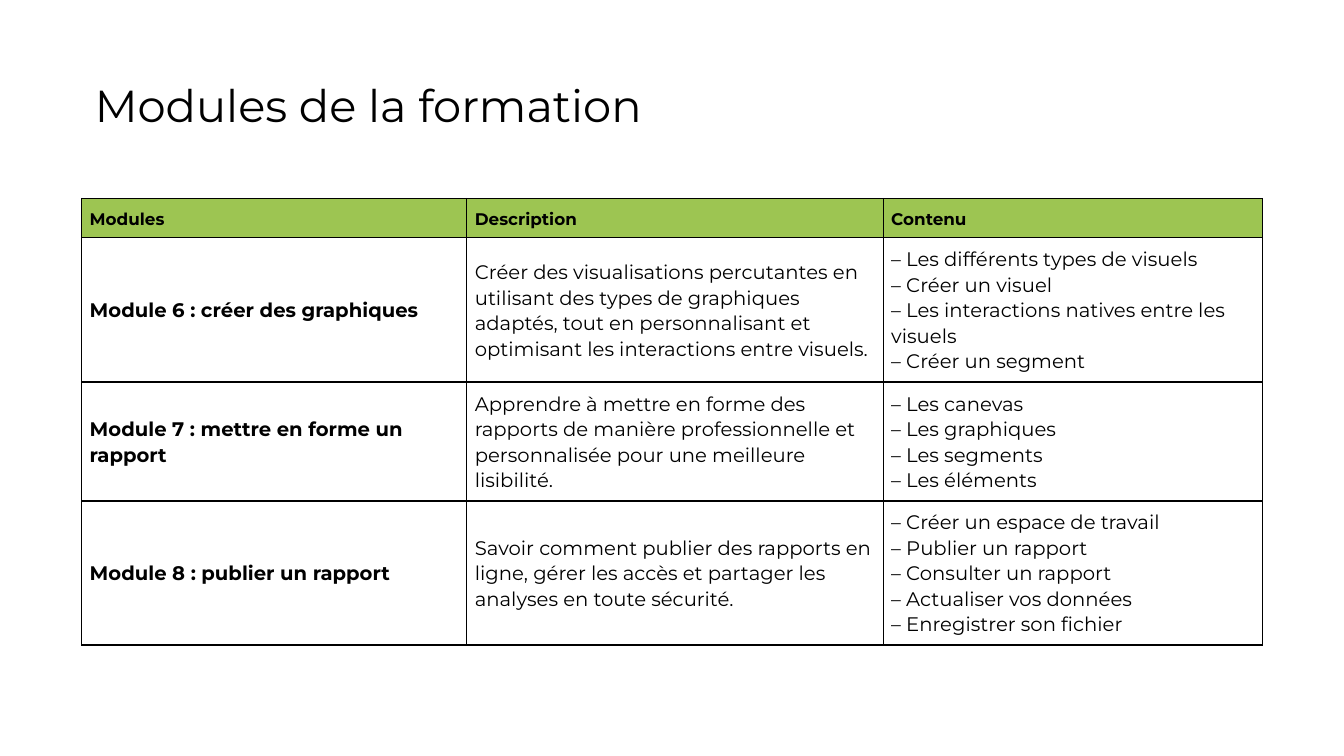
from copy import deepcopy
from dataclasses import dataclass
from typing import Any

from lxml.etree import SubElement
from pptx import Presentation
from pptx.dml.color import RGBColor
from pptx.enum.text import MSO_ANCHOR, MSO_AUTO_SIZE, PP_ALIGN
from pptx.oxml.ns import qn
from pptx.slide import Slide
from pptx.table import Table, _Cell
from pptx.text.text import _Paragraph
from pptx.util import Inches, Pt

COLORS = {"text": "000000", "border": "000000", "header": "9DC552"}
FONT_NAME = "Montserrat"
COLUMN_WIDTHS = (3.82, 4.13, 3.76)
ROW_HEIGHTS = (0.39, 1.43, 1.18, 1.43)
HEADERS = ("Modules", "Description", "Contenu")


@dataclass(frozen=True)
class Module:
    name: str
    description: str
    topics: tuple[str, ...]

    def texts(self) -> tuple[str, str, str]:
        content = "\v".join(f"– {topic}" for topic in self.topics)
        return self.name, self.description, content


MODULES = (
    Module(
        "Module 6 : créer des graphiques",
        "Créer des visualisations percutantes en utilisant des types de graphiques "
        "adaptés, tout en personnalisant et optimisant les interactions entre visuels.",
        (
            "Les différents types de visuels",
            "Créer un visuel",
            "Les interactions natives entre les visuels",
            "Créer un segment",
        ),
    ),
    Module(
        "Module 7 : mettre en forme un rapport",
        "Apprendre à mettre en forme des rapports de manière professionnelle et "
        "personnalisée pour une meilleure lisibilité.",
        ("Les canevas", "Les graphiques", "Les segments", "Les éléments"),
    ),
    Module(
        "Module 8 : publier un rapport",
        "Savoir comment publier des rapports en ligne, gérer les accès et partager "
        "les analyses en toute sécurité.",
        (
            "Créer un espace de travail",
            "Publier un rapport",
            "Consulter un rapport",
            "Actualiser vos données",
            "Enregistrer son fichier",
        ),
    ),
)


def apply_format(target: Any, values: dict[str, Any]) -> None:
    for name, value in values.items():
        setattr(target, name, value)


def write_text(paragraph: _Paragraph, text: str, size: int, bold: bool) -> None:
    paragraph.text = text
    for run in paragraph.runs:
        apply_format(run.font, {"name": FONT_NAME, "size": Pt(size), "bold": bold})
        run.font.color.rgb = RGBColor.from_string(COLORS["text"])
    for line_break in paragraph._p.findall(qn("a:br")):
        line_break.append(deepcopy(paragraph.runs[0]._r.rPr))


def add_borders(cell: _Cell) -> None:
    properties = cell._tc.get_or_add_tcPr()
    for side in ("L", "R", "T", "B"):
        border = SubElement(properties, qn(f"a:ln{side}"), w=str(Pt(1)))
        fill = SubElement(border, qn("a:solidFill"))
        SubElement(fill, qn("a:srgbClr"), val=COLORS["border"])


def fill_cell(cell: _Cell, text: str, is_header: bool, bold: bool) -> None:
    margins = dict.fromkeys(
        ("margin_left", "margin_right", "margin_top", "margin_bottom"), Inches(0.08)
    )
    apply_format(cell, {"vertical_anchor": MSO_ANCHOR.MIDDLE, **margins})
    add_borders(cell)
    if is_header:
        cell.fill.solid()
        cell.fill.fore_color.rgb = RGBColor.from_string(COLORS["header"])
    else:
        cell.fill.background()
    paragraph = cell.text_frame.paragraphs[0]
    apply_format(paragraph, {"line_spacing": 1.07, "space_after": Pt(8)})
    write_text(paragraph, text, 12 if is_header else 14, bold)


def add_title(slide: Slide) -> None:
    title = slide.shapes.title
    apply_format(
        title,
        {
            "left": Inches(-0.79),
            "top": Inches(0.52),
            "width": Inches(8.49),
            "height": Inches(0.83),
        },
    )
    apply_format(
        title.text_frame,
        {
            "vertical_anchor": MSO_ANCHOR.BOTTOM,
            "auto_size": MSO_AUTO_SIZE.NONE,
            "word_wrap": True,
        },
    )
    paragraph = title.text_frame.paragraphs[0]
    apply_format(
        paragraph,
        {"alignment": PP_ALIGN.LEFT, "line_spacing": 1.5, "space_before": Pt(0)},
    )
    paragraph._p.get_or_add_pPr().set("marL", str(Inches(1.63)))
    write_text(paragraph, "Modules de la formation", 32, False)


def add_module_table(slide: Slide) -> Table:
    table = slide.shapes.add_table(
        len(ROW_HEIGHTS),
        len(COLUMN_WIDTHS),
        Inches(0.81),
        Inches(1.97),
        Inches(sum(COLUMN_WIDTHS)),
        Inches(sum(ROW_HEIGHTS)),
    ).table
    apply_format(table, {"first_row": False, "horz_banding": False})
    for column, width in zip(table.columns, COLUMN_WIDTHS):
        column.width = Inches(width)
    for row, height in zip(table.rows, ROW_HEIGHTS):
        row.height = Inches(height)
    rows = (HEADERS, *(module.texts() for module in MODULES))
    for row_index, texts in enumerate(rows):
        for column_index, text in enumerate(texts):
            is_header = row_index == 0
            fill_cell(
                table.cell(row_index, column_index),
                text,
                is_header,
                is_header or column_index == 0,
            )
    return table


def main() -> None:
    presentation = Presentation()
    apply_format(
        presentation, {"slide_width": Inches(13.33), "slide_height": Inches(7.5)}
    )
    slide = presentation.slides.add_slide(presentation.slide_layouts[5])
    add_title(slide)
    add_module_table(slide)
    presentation.save("out.pptx")


if __name__ == "__main__":
    main()
